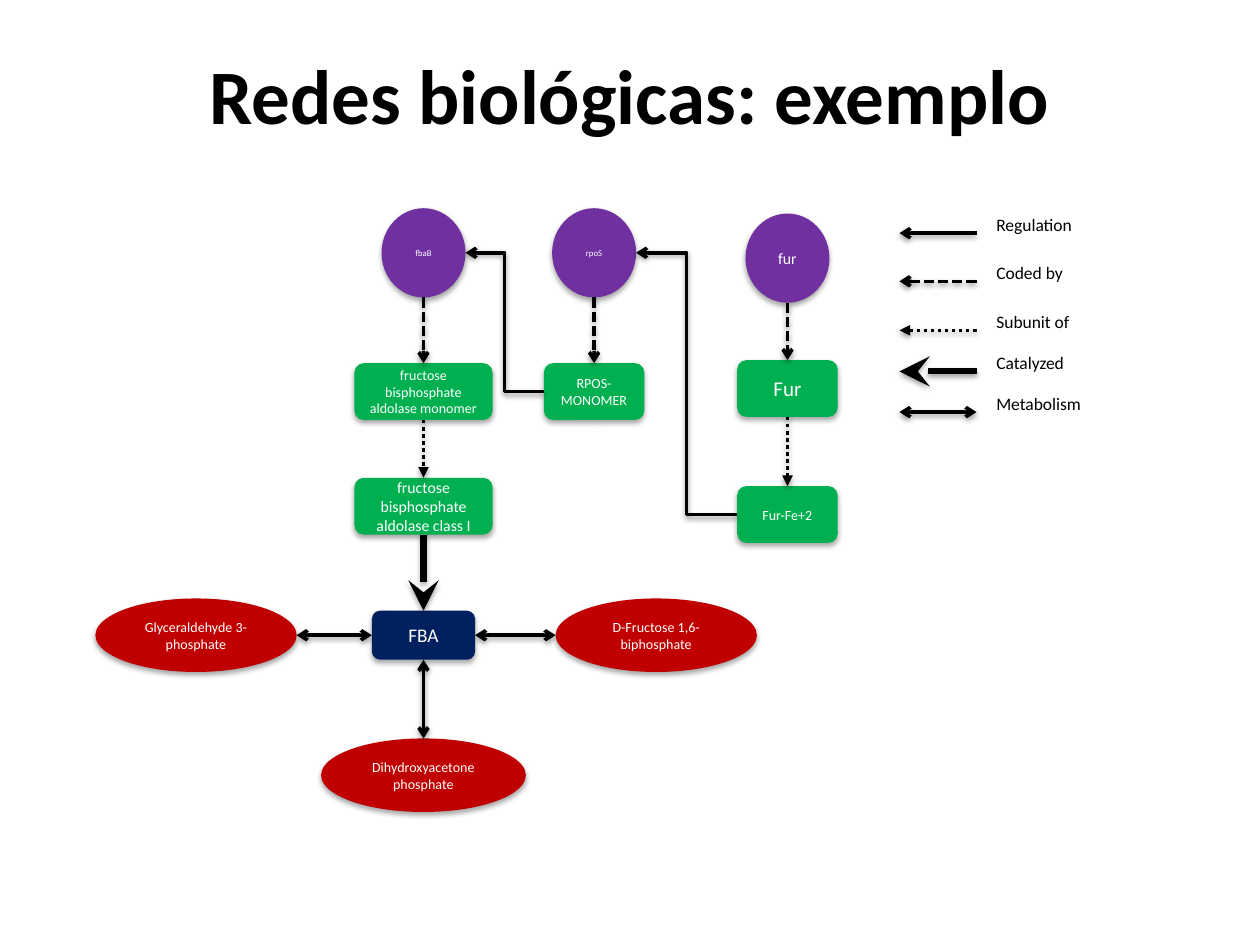
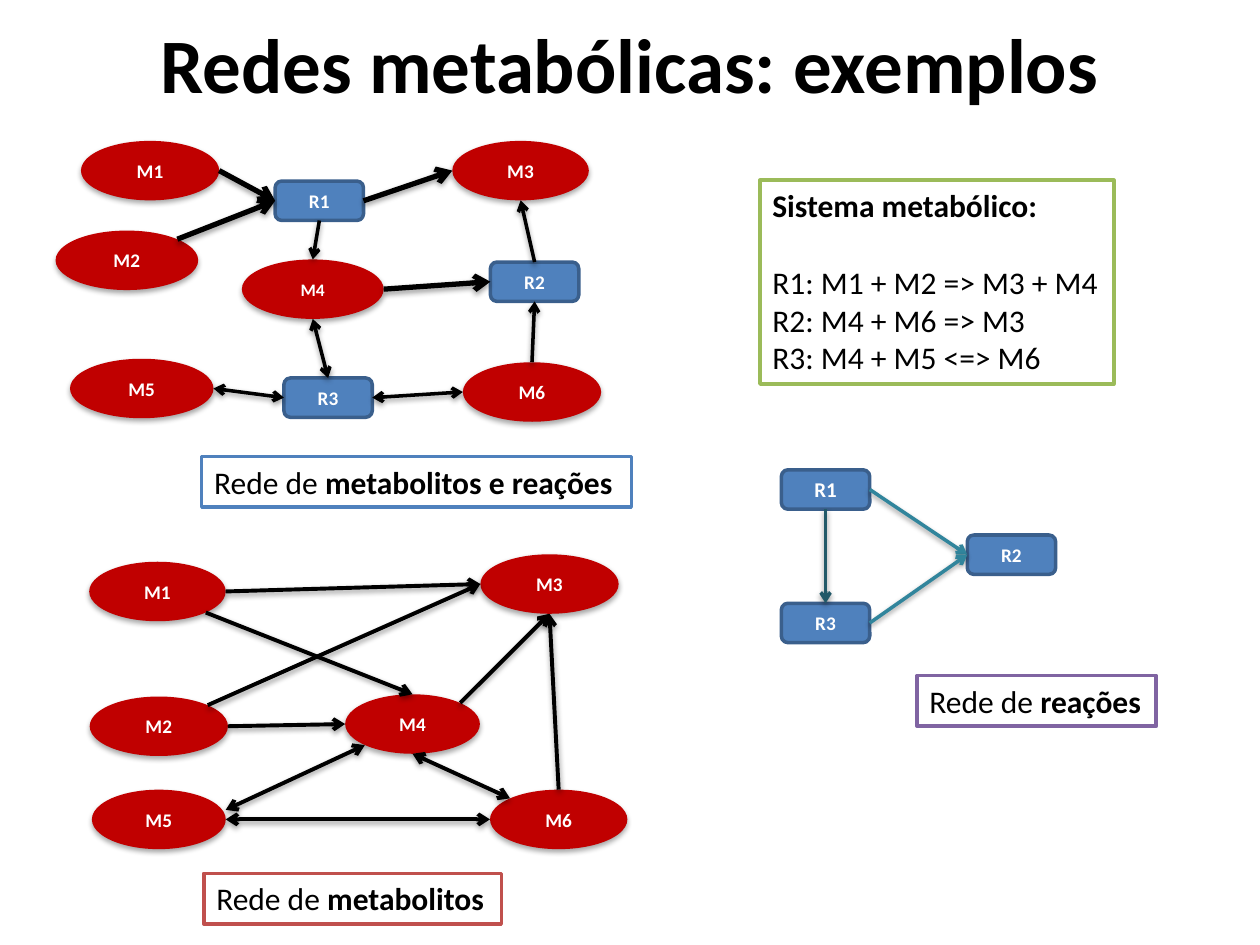
from lxml import etree
from pptx import Presentation
from pptx.dml.color import RGBColor
from pptx.enum import dml, shapes, text
from pptx.oxml import ns
from pptx.util import Pt

FONT = "Calibri"
COLORS = {
    "black": "000000", "white": "FFFFFF", "purple": "7030A0", "green": "00B050",
    "navy": "002060", "red": "C00000", "blue": "4F81BD", "dark blue": "3A5F8C",
    "deep teal": "215968", "teal": "31859C", "violet": "8064A2",
    "brick": "C0504D", "olive": "9BBB59",
}
OVAL, ROUNDED = shapes.MSO_SHAPE.OVAL, shapes.MSO_SHAPE.ROUNDED_RECTANGLE
DASHED, DOTTED = dml.MSO_LINE.SQUARE_DOT, dml.MSO_LINE.ROUND_DOT

# kind: outline, fill, border, height, bold
KINDS = {
    "gene": (OVAL, "purple", None, 51, False),
    "protein": (ROUNDED, "green", None, 32.5, False),
    "enzyme": (ROUNDED, "navy", None, 28, False),
    "compound": (OVAL, "red", None, 42, False),
    "metabolite": (OVAL, "red", None, 34, True),
    "reaction": (ROUNDED, "blue", "dark blue", 22.5, True),
}

# pen: width, dash, head at start, head at end, colour
PENS = {
    "regulation": (2, None, None, "arrow", "black"),
    "coded by": (2, DASHED, None, "arrow", "black"),
    "subunit of": (2, DOTTED, None, "triangle", "black"),
    "catalyzed": (3.5, None, None, "stealth", "black"),
    "metabolism": (2, None, "arrow", "arrow", "black"),
    "step": (2, None, None, "arrow", "black"),
    "strong step": (3, None, None, "arrow", "black"),
    "flow": (2.25, None, None, "arrow", "black"),
    "exchange": (2.25, None, "arrow", "arrow", "black"),
    "order": (2, None, None, "arrow", "teal"),
    "first order": (2, None, None, "arrow", "deep teal"),
}

# Where a link may touch a node, as fractions of its width and height.
# The first four follow the connection numbering of rectangles.
NEAR, FAR = 0.146, 0.854
SIDES = {
    "top": (0.5, 0), "left": (0, 0.5), "bottom": (0.5, 1), "right": (1, 0.5),
    "top left": (NEAR, NEAR), "top right": (FAR, NEAR),
    "bottom left": (NEAR, FAR), "bottom right": (FAR, FAR),
    "upper right": (1, 0.34),
}
SIDE_NAMES = list(SIDES)

ALDOLASE_MONOMER = "fructose bisphosphate aldolase monomer"
ALDOLASE = "fructose bisphosphate aldolase class I"
GLYCERALDEHYDE = "Glyceraldehyde 3-phosphate"
FRUCTOSE = "D-Fructose 1,6-biphosphate"
DIHYDROXYACETONE = "Dihydroxyacetone phosphate"

# Nodes by kind: label -> centre x, centre y, width, text size.
# Links: pen, from, side, to, side.
BIOLOGICAL = {
    "nodes": {
        "gene": {"fbaB": (242, 144.5, 48, 5), "rpoS": (339.5, 144.5, 48, 5),
                 "fur": (450, 147.5, 48, 9)},
        "protein": {ALDOLASE_MONOMER: (242, 223.75, 79, 8),
                    "RPOS-MONOMER": (339.5, 223.75, 57.5, 8),
                    "Fur": (450, 222, 57.5, 12),
                    ALDOLASE: (242, 289.25, 79, 9),
                    "Fur-Fe+2": (450, 294, 57.5, 8)},
        "enzyme": {"FBA": (242, 363, 59, 11)},
        "compound": {GLYCERALDEHYDE: (112, 363, 115, 8),
                     FRUCTOSE: (375, 363, 115, 8),
                     DIHYDROXYACETONE: (242, 443, 117, 8)},
    },
    "links": [
        ("coded by", "fbaB", "bottom", ALDOLASE_MONOMER, "top"),
        ("coded by", "rpoS", "bottom", "RPOS-MONOMER", "top"),
        ("coded by", "fur", "bottom", "Fur", "top"),
        ("subunit of", ALDOLASE_MONOMER, "bottom", ALDOLASE, "top"),
        ("subunit of", "Fur", "bottom", "Fur-Fe+2", "top"),
        ("regulation", "RPOS-MONOMER", "left", "fbaB", "right"),
        ("regulation", "Fur-Fe+2", "left", "rpoS", "right"),
        ("catalyzed", ALDOLASE, "bottom", "FBA", "top"),
        ("metabolism", GLYCERALDEHYDE, "right", "FBA", "left"),
        ("metabolism", "FBA", "right", FRUCTOSE, "left"),
        ("metabolism", "FBA", "bottom", DIHYDROXYACETONE, "top"),
    ],
}
LEGEND = [("Regulation", 133.25), ("Coded by", 160.75), ("Subunit of", 188.75),
          ("Catalyzed", 212.25), ("Metabolism", 235.5)]

METABOLIC = [
    {
        "nodes": {
            "metabolite": {"M1": (85.75, 97.5, 79, 11), "M2": (72.5, 148.75, 81.5, 11),
                           "M3": (297.5, 97.5, 78, 11), "M4": (178.75, 165.25, 81, 10),
                           "M5": (81, 222, 82, 11), "M6": (304, 224, 79, 11)},
            "reaction": {"R1": (182.5, 114.75, 50.5, 11), "R2": (305.5, 161, 50.5, 11),
                         "R3": (187.5, 227.25, 50.5, 11)},
        },
        "links": [
            ("strong step", "M1", "right", "R1", "left"),
            ("strong step", "M2", "top right", "R1", "left"),
            ("strong step", "R1", "right", "M3", "left"),
            ("step", "R1", "bottom", "M4", "top"),
            ("strong step", "M4", "right", "R2", "left"),
            ("step", "R2", "top", "M3", "bottom"),
            ("step", "M6", "top", "R2", "bottom"),
            ("metabolism", "M4", "bottom", "R3", "top"),
            ("metabolism", "M5", "right", "R3", "left"),
            ("metabolism", "R3", "right", "M6", "left"),
        ],
    },
    {
        "nodes": {
            "metabolite": {"M1": (90, 338, 78, 11), "M2": (90.75, 415, 79, 11),
                           "M3": (314, 333.75, 79, 11), "M4": (235.75, 413.75, 77, 11),
                           "M5": (90.75, 468.25, 76.5, 11),
                           "M6": (319.25, 468.25, 78.5, 11)},
        },
        "links": [
            ("flow", "M1", "right", "M3", "left"),
            ("flow", "M1", "bottom right", "M4", "top"),
            ("flow", "M2", "top right", "M3", "left"),
            ("flow", "M2", "right", "M4", "left"),
            ("flow", "M4", "top right", "M3", "bottom"),
            ("flow", "M6", "top", "M3", "bottom"),
            ("exchange", "M4", "bottom", "M6", "top left"),
            ("exchange", "M5", "right", "M6", "left"),
            ("exchange", "M5", "upper right", "M4", "bottom left"),
        ],
    },
    {
        "nodes": {
            "reaction": {"R1": (471.75, 279.75, 50.5, 12), "R2": (578, 317, 50.5, 11),
                         "R3": (471.75, 356, 50.5, 11)},
        },
        "links": [
            ("first order", "R1", "bottom", "R3", "top"),
            ("order", "R1", "right", "R2", "left"),
            ("order", "R3", "right", "R2", "left"),
        ],
    },
]

# Border, (left, top, width, height), paragraphs of (plain part, bold part)
CAPTIONS = [
    ("blue", (115.25, 260.75, 245.5, 29), [("Rede de ", "metabolitos e reações")]),
    ("brick", (116.5, 499, 170, 29), [("Rede de ", "metabolitos")]),
    ("violet", (524, 386, 136.75, 29), [("Rede de ", "reações")]),
    ("olive", (434.25, 103, 202.25, 116.5), [
        ("", "Sistema metabólico:"), ("R1: M1 + M2 => M3 + M4", ""),
        ("R2: M4 + M6 => M3", ""), ("R3: M4 + M5 <=> M6", "")]),
]
HEADING_GAP = 22


def color(name):
    return RGBColor.from_string(COLORS[name])


def style_run(run, size, ink="black", bold=False):
    run.font.name, run.font.size, run.font.bold = FONT, Pt(size), bold
    run.font.color.rgb = color(ink)


def add_text(slide, box, words, size, bold=False):
    frame = slide.shapes.add_textbox(*map(Pt, box)).text_frame
    frame.word_wrap = True
    frame.text = words
    style_run(frame.paragraphs[0].runs[0], size, bold=bold)
    return frame


def add_title(slide, words, top):
    frame = add_text(slide, (36, top, 648, 90), words, 44, bold=True)
    frame.vertical_anchor = text.MSO_ANCHOR.MIDDLE
    frame.paragraphs[0].alignment = text.PP_ALIGN.CENTER


def cast_shadow(effects, distance, percent):
    shadow = etree.SubElement(effects, ns.qn("a:outerShdw"), blurRad=str(Pt(3.15)),
                              dist=str(Pt(distance)), dir="5400000", rotWithShape="0")
    tint = etree.SubElement(shadow, ns.qn("a:srgbClr"), val=COLORS["black"])
    etree.SubElement(tint, ns.qn("a:alpha"), val=str(percent * 1000))


def add_node(slide, kind, label, x, y, width, size):
    outline, fill, border, height, bold = KINDS[kind]
    node = slide.shapes.add_shape(
        outline, Pt(x - width / 2), Pt(y - height / 2), Pt(width), Pt(height))
    node.fill.solid()
    node.fill.fore_color.rgb = color(fill)
    node.shadow.inherit = False
    if border:
        node.line.color.rgb = color(border)
        node.line.width = Pt(2)
    else:
        node.line.fill.background()
        cast_shadow(node.element.spPr.find(ns.qn("a:effectLst")), 1.8, 35)
    frame = node.text_frame
    frame.word_wrap = True
    frame.vertical_anchor = text.MSO_ANCHOR.MIDDLE
    frame.text = label
    frame.paragraphs[0].alignment = text.PP_ALIGN.CENTER
    style_run(frame.paragraphs[0].runs[0], size, "white", bold)
    return node


def add_link(slide, pen, start, end, route=shapes.MSO_CONNECTOR.STRAIGHT):
    width, dash, start_head, end_head, ink = PENS[pen]
    link = slide.shapes.add_connector(route, *start, *end)
    link.line.color.rgb = color(ink)
    link.line.width = Pt(width)
    if dash:
        link.line.dash_style = dash
    properties = link.element.spPr
    for tag, head in (("a:headEnd", start_head), ("a:tailEnd", end_head)):
        if head:
            scale = "lg" if head == "stealth" else "med"
            etree.SubElement(properties.find(ns.qn("a:ln")), ns.qn(tag),
                             type=head, w=scale, len=scale)
    cast_shadow(etree.SubElement(properties, ns.qn("a:effectLst")), 1.6, 38)
    return link


def touch_point(node, side):
    across, down = SIDES[side]
    return (round(node.left + across * node.width),
            round(node.top + down * node.height))


def draw_network(slide, network):
    nodes = {label: add_node(slide, kind, label, *place)
             for kind, group in network["nodes"].items()
             for label, place in group.items()}
    for pen, source, exit_side, target, entry_side in network["links"]:
        source, target = nodes[source], nodes[target]
        ends = touch_point(source, exit_side), touch_point(target, entry_side)
        if pen == "regulation":
            add_link(slide, pen, *ends, shapes.MSO_CONNECTOR.ELBOW)
            continue
        link = add_link(slide, pen, *ends)
        if source.auto_shape_type == ROUNDED:
            link.begin_connect(source, SIDE_NAMES.index(exit_side))
        if target.auto_shape_type == ROUNDED:
            link.end_connect(target, SIDE_NAMES.index(entry_side))


def draw_legend(slide):
    for label, y in LEGEND:
        add_link(slide, label.lower(), (Pt(558), Pt(y)), (Pt(514), Pt(y)))
        add_text(slide, (562.25, y - 14.5, 104, 26), label, 10)


def add_caption(slide, border, box, lines):
    caption = slide.shapes.add_textbox(*map(Pt, box))
    caption.fill.solid()
    caption.fill.fore_color.rgb = color("white")
    caption.line.color.rgb = color(border)
    caption.line.width = Pt(2)
    frame = caption.text_frame
    frame.word_wrap = True
    frame.margin_right = 0
    for number, parts in enumerate(lines):
        paragraph = frame.add_paragraph() if number else frame.paragraphs[0]
        for part, bold in zip(parts, (False, True)):
            if part:
                run = paragraph.add_run()
                run.text = part
                style_run(run, 18, bold=bold)
    if len(lines) > 1:
        frame.paragraphs[0].space_after = Pt(HEADING_GAP)


def main():
    deck = Presentation()
    deck.slide_width, deck.slide_height = Pt(720), Pt(540)
    blank = deck.slide_layouts[6]

    biological = deck.slides.add_slide(blank)
    add_title(biological, "Redes biológicas: exemplo", 8.75)
    draw_network(biological, BIOLOGICAL)
    draw_legend(biological)

    metabolic = deck.slides.add_slide(blank)
    add_title(metabolic, "Redes metabólicas: exemplos", -9.25)
    for network in METABOLIC:
        draw_network(metabolic, network)
    for caption in CAPTIONS:
        add_caption(metabolic, *caption)

    deck.save("out.pptx")


if __name__ == "__main__":
    main()
